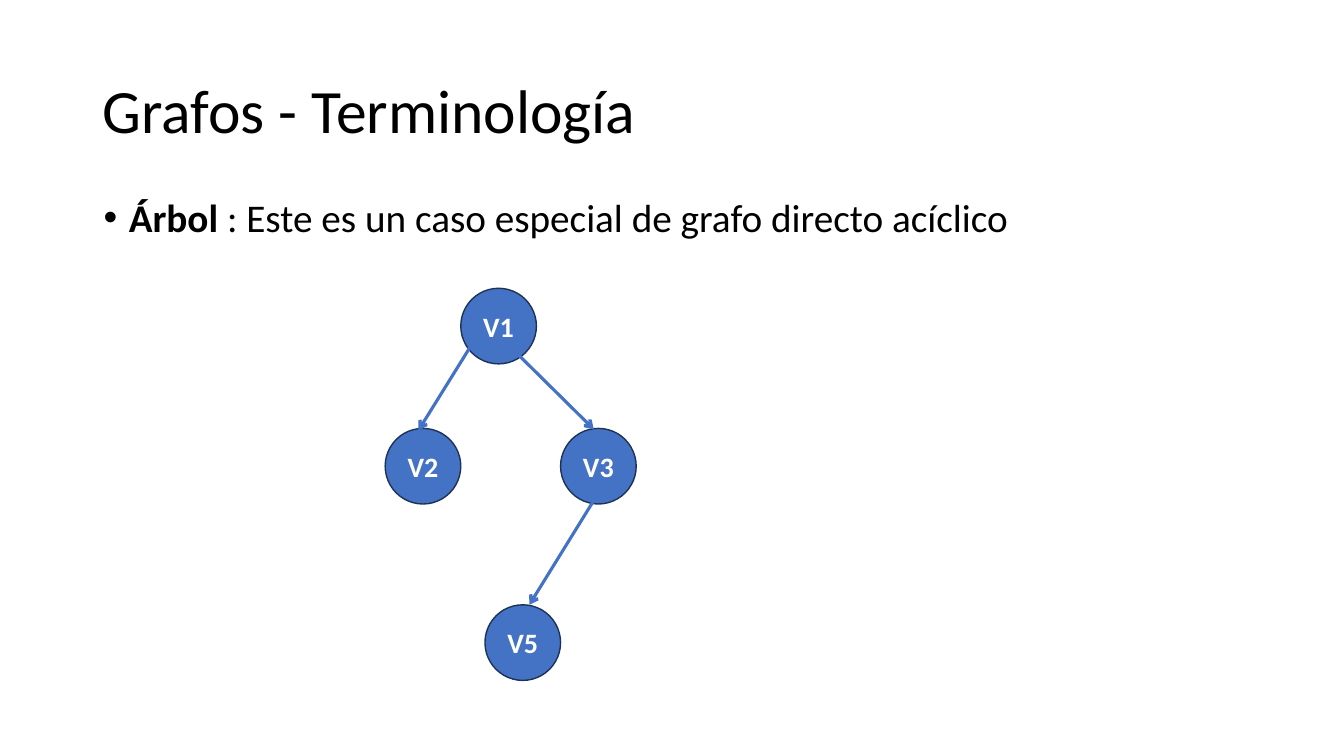
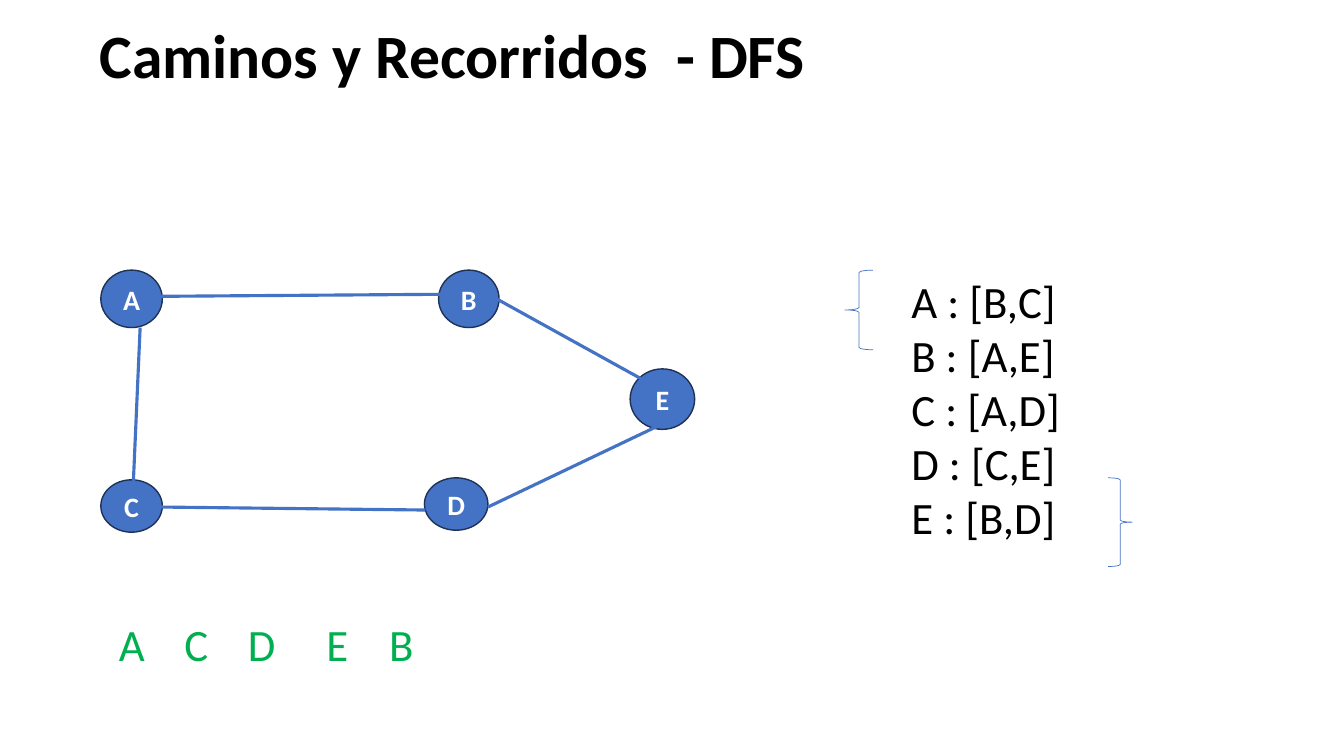
from lxml import etree
from pptx import Presentation
from pptx.dml.color import RGBColor
from pptx.enum.shapes import MSO_CONNECTOR, MSO_SHAPE
from pptx.enum.text import MSO_ANCHOR, PP_ALIGN
from pptx.oxml.ns import qn
from pptx.util import Inches, Pt

OVAL = MSO_SHAPE.OVAL
LEFT_BRACE = MSO_SHAPE.LEFT_BRACE
RIGHT_BRACE = MSO_SHAPE.RIGHT_BRACE
STRAIGHT = MSO_CONNECTOR.STRAIGHT
TOP, MIDDLE = MSO_ANCHOR.TOP, MSO_ANCHOR.MIDDLE
LEFT, CENTER = PP_ALIGN.LEFT, PP_ALIGN.CENTER

FONT = "Calibri"
BLACK, WHITE = "000000", "FFFFFF"
BLUE, NAVY, GREEN = "4472C4", "1E3256", "00B050"


def rgb(color):
    return RGBColor.from_string(color)


def add_bullet(paragraph, indent=0.25):
    properties = paragraph._p.get_or_add_pPr()
    properties.set("marL", str(Inches(indent)))
    properties.set("indent", str(-Inches(indent)))
    etree.SubElement(properties, qn("a:buFont"), typeface="Arial")
    etree.SubElement(properties, qn("a:buChar"), char="•")


def add_tabs(paragraph, positions):
    properties = paragraph._p.get_or_add_pPr()
    tab_list = etree.SubElement(properties, qn("a:tabLst"))
    for position in positions:
        etree.SubElement(tab_list, qn("a:tab"), pos=str(Inches(position)), algn="l")


def write_text(shape, paragraphs, size=20, color=BLACK, bold=False, align=LEFT,
               anchor=TOP, spacing=None, bullet=False, tabs=()):
    """Fill a shape; each paragraph is a string or a list of (text, bold) runs."""
    frame = shape.text_frame
    frame.word_wrap = True
    frame.vertical_anchor = anchor
    for index, content in enumerate(paragraphs):
        paragraph = frame.add_paragraph() if index else frame.paragraphs[0]
        paragraph.alignment = align
        if spacing:
            paragraph.line_spacing = spacing
        if bullet:
            add_bullet(paragraph)
        if tabs:
            add_tabs(paragraph, tabs)
        runs = [(content, bold)] if isinstance(content, str) else content
        for text, run_bold in runs:
            run = paragraph.add_run()
            run.text = text
            run.font.name = FONT
            run.font.size = Pt(size)
            run.font.bold = run_bold
            run.font.color.rgb = rgb(color)


def add_text(slide, box, paragraphs, **text_format):
    shape = slide.shapes.add_textbox(*map(Inches, box))
    write_text(shape, paragraphs, **text_format)


def add_title(slide, box, text, **text_format):
    add_text(slide, box, [text], size=44, anchor=MIDDLE, spacing=0.9, **text_format)


def add_outlined_shape(slide, kind, box, line_color, line_width, fill=None):
    shape = slide.shapes.add_shape(kind, *map(Inches, box))
    shape.shadow.inherit = False
    if fill:
        shape.fill.solid()
        shape.fill.fore_color.rgb = rgb(fill)
    else:
        shape.fill.background()
    shape.line.color.rgb = rgb(line_color)
    shape.line.width = Pt(line_width)
    return shape


def add_node(slide, label, box):
    node = add_outlined_shape(slide, OVAL, box, NAVY, 1, fill=BLUE)
    write_text(node, [label], color=WHITE, bold=True, align=CENTER, anchor=MIDDLE)


def add_edge(slide, start, end, arrow=False):
    edge = slide.shapes.add_connector(STRAIGHT, *map(Inches, start + end))
    edge.line.color.rgb = rgb(BLUE)
    edge.line.width = Pt(2.25)
    if arrow:
        etree.SubElement(edge.line._get_or_add_ln(), qn("a:tailEnd"), type="arrow")
    etree.SubElement(edge._element.spPr, qn("a:effectLst"))


def add_brace(slide, kind, box):
    add_outlined_shape(slide, kind, box, BLUE, 0.5)


def build_tree_slide(slide):
    add_title(slide, (0.92, 0.4, 11.5, 1.45), "Grafos - Terminología")
    definition = [("Árbol ", True),
                  (": Este es un caso especial de grafo directo acíclico", False)]
    add_text(slide, (0.93, 1.92, 11.5, 0.75), [definition],
             size=28, spacing=0.9, bullet=True)

    diameter = 0.75
    nodes = {"V1": (4.57, 2.86), "V2": (3.82, 4.25),
             "V3": (5.56, 4.25), "V5": (4.81, 6)}
    for label, corner in nodes.items():
        add_node(slide, label, corner + (diameter, diameter))
    edges = [((5.01, 3.39), (5.89, 4.26)),
             ((5.88, 4.98), (5.25, 6)),
             ((4.74, 3.32), (4.15, 4.27))]
    for start, end in edges:
        add_edge(slide, start, end, arrow=True)


def build_dfs_slide(slide):
    add_title(slide, (0.89, -0.01, 11.53, 1.18), "Caminos y Recorridos\t- DFS",
              bold=True, tabs=[5.72])

    nodes = {"A": (1, 2.68, 0.61, 0.57), "B": (4.35, 2.68, 0.6, 0.57),
             "C": (1, 4.76, 0.61, 0.52), "D": (4.21, 4.74, 0.63, 0.52),
             "E": (6.25, 3.66, 0.64, 0.6)}
    for label, box in nodes.items():
        add_node(slide, label, box)
    edges = [((1.58, 2.94), (4.37, 2.92)),
             ((1.57, 5.03), (4.22, 5.06)),
             ((4.88, 2.94), (6.49, 3.83)),
             ((4.84, 5.03), (6.58, 4.2)),
             ((1.39, 3.25), (1.32, 4.85))]
    for start, end in edges:
        add_edge(slide, start, end)

    adjacency = {"A": "B,C", "B": "A,E", "C": "A,D", "D": "C,E", "E": "B,D"}
    add_text(slide, (8.94, 2.67, 2.43, 2.79),
             [f"{node} : [{neighbours}]" for node, neighbours in adjacency.items()],
             size=32)
    add_brace(slide, LEFT_BRACE, (8.38, 2.68, 0.28, 0.79))
    add_brace(slide, RIGHT_BRACE, (10.99, 4.74, 0.24, 0.88))
    add_text(slide, (1.08, 6.07, 7.51, 0.64), ["\t".join("ACDEB")],
             size=32, color=GREEN, tabs=[0.65, 1.28, 2.06, 2.68])


def main():
    presentation = Presentation()
    presentation.slide_width = Inches(13.33)
    presentation.slide_height = Inches(7.5)
    blank_layout = presentation.slide_layouts[6]
    for build_slide in (build_tree_slide, build_dfs_slide):
        build_slide(presentation.slides.add_slide(blank_layout))
    presentation.save("out.pptx")


if __name__ == "__main__":
    main()
